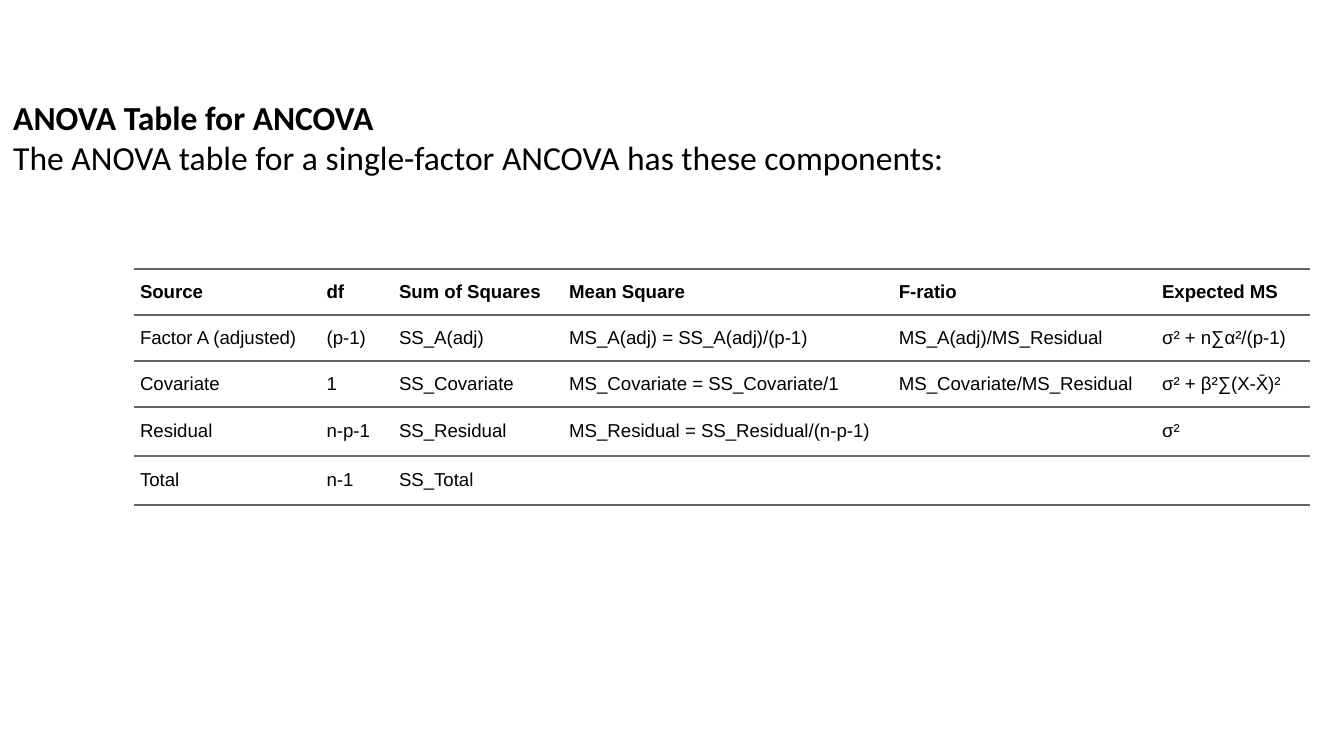
from lxml.etree import SubElement
from pptx import Presentation
from pptx.dml.color import RGBColor
from pptx.enum.text import MSO_ANCHOR
from pptx.oxml.ns import qn
from pptx.util import Pt

COLORS = {"text": "000000", "rule": "666666"}
HEADING = [
    ("ANOVA Table for ANCOVA", True),
    ("The ANOVA table for a single-factor ANCOVA has these components:", False),
]
ROWS = [
    ("Source", "df", "Sum of Squares", "Mean Square", "F-ratio", "Expected MS"),
    ("Factor A (adjusted)", "(p-1)", "SS_A(adj)", "MS_A(adj) = SS_A(adj)/(p-1)",
     "MS_A(adj)/MS_Residual", "σ² + n∑α²/(p-1)"),
    ("Covariate", "1", "SS_Covariate", "MS_Covariate = SS_Covariate/1",
     "MS_Covariate/MS_Residual", "σ² + β²∑(X-X̄)²"),
    ("Residual", "n-p-1", "SS_Residual", "MS_Residual = SS_Residual/(n-p-1)", "", "σ²"),
    ("Total", "n-1", "SS_Total", "", "", ""),
]
COL_WIDTHS = [100, 38.8, 91.2, 176.6, 141, 82.2]
ROW_HEIGHTS = [24.7, 24.7, 24.7, 26.2, 26.2]
RULES = [1.5, 1.5, 0.75, 0.75, 0.75, 1.5]  # above each row, then below the last


def style(p, font, size, bold):
    p.font.name, p.font.size, p.font.bold = font, Pt(size), bold
    p.font.color.rgb = RGBColor.from_string(COLORS["text"])


def set_borders(cell, top, bottom):
    """Rule the cell above and below, and leave its sides open."""
    tcPr = cell._tc.get_or_add_tcPr()
    sides = [("a:lnL", 0), ("a:lnR", 0), ("a:lnT", top), ("a:lnB", bottom)]
    for i, (tag, width) in enumerate(sides):
        ln = SubElement(tcPr, qn(tag), w=str(Pt(width)))
        if width:
            fill = SubElement(ln, qn("a:solidFill"))
            SubElement(fill, qn("a:srgbClr"), val=COLORS["rule"])
        else:
            SubElement(ln, qn("a:noFill"))
        tcPr.insert(i, ln)  # borders come before the fill


def add_heading(s):
    tf = s.shapes.add_textbox(Pt(0), Pt(48.2), Pt(715.7), Pt(308.2)).text_frame
    tf.word_wrap = True
    for i, (text, bold) in enumerate(HEADING):
        p = tf.add_paragraph() if i else tf.paragraphs[0]
        p.text = text
        style(p, "Calibri", 18, bold)


def add_anova_table(s):
    table = s.shapes.add_table(len(ROWS), len(COL_WIDTHS), Pt(72), Pt(144),
                               Pt(sum(COL_WIDTHS)), Pt(sum(ROW_HEIGHTS))).table
    table.first_row = table.horz_banding = False
    for col, width in zip(table.columns, COL_WIDTHS):
        col.width = Pt(width)
    for r, texts in enumerate(ROWS):
        table.rows[r].height = Pt(ROW_HEIGHTS[r])
        for c, text in enumerate(texts):
            cell = table.cell(r, c)
            cell.fill.background()
            set_borders(cell, RULES[r], RULES[r + 1])
            cell.vertical_anchor = MSO_ANCHOR.MIDDLE
            cell.margin_left = cell.margin_right = Pt(0)
            cell.margin_top = cell.margin_bottom = Pt(2.9)
            p = cell.text_frame.paragraphs[0]
            p.text = text
            p.space_before = p.space_after = Pt(3)
            p._p.get_or_add_pPr().set("marL", str(Pt(3)))
            style(p, "Arial", 10, r == 0)


def main():
    prs = Presentation()
    prs.slide_width, prs.slide_height = Pt(720), Pt(405)
    s = prs.slides.add_slide(prs.slide_layouts[6])
    add_heading(s)
    add_anova_table(s)
    prs.save("out.pptx")


if __name__ == "__main__":
    main()
